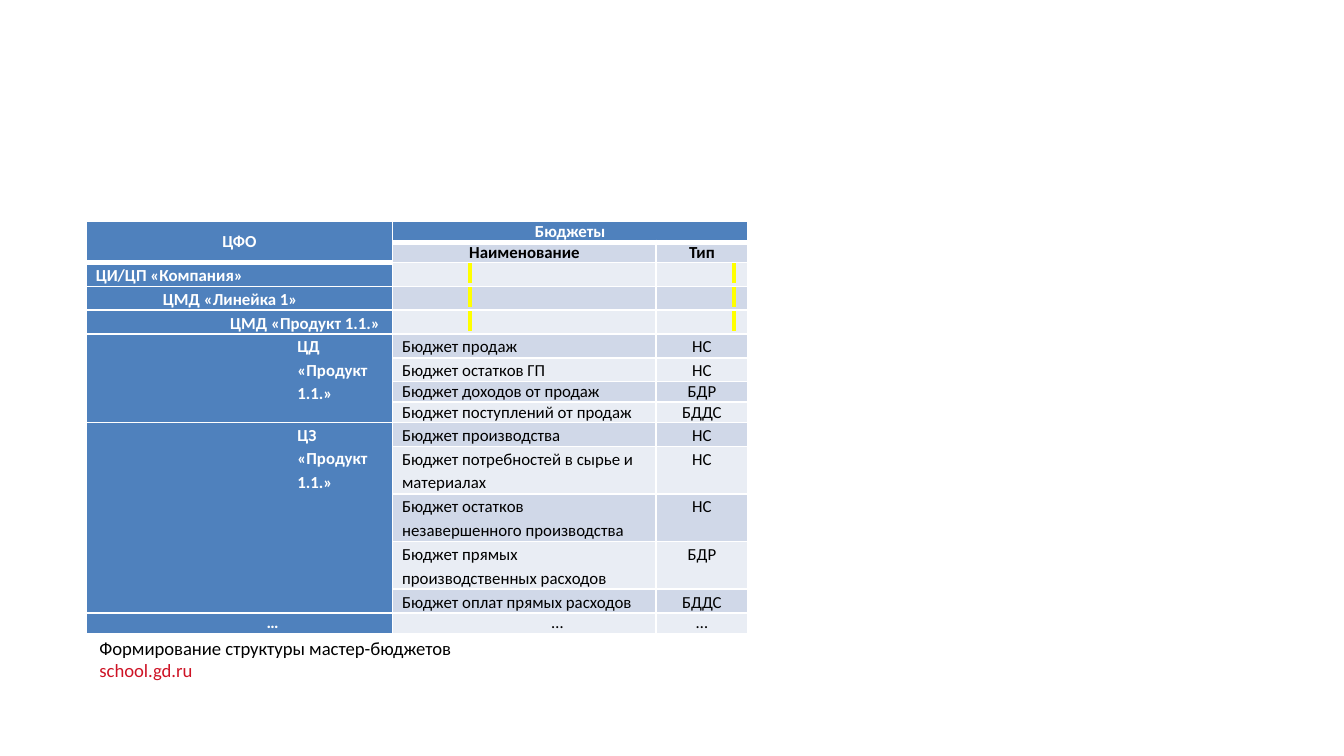
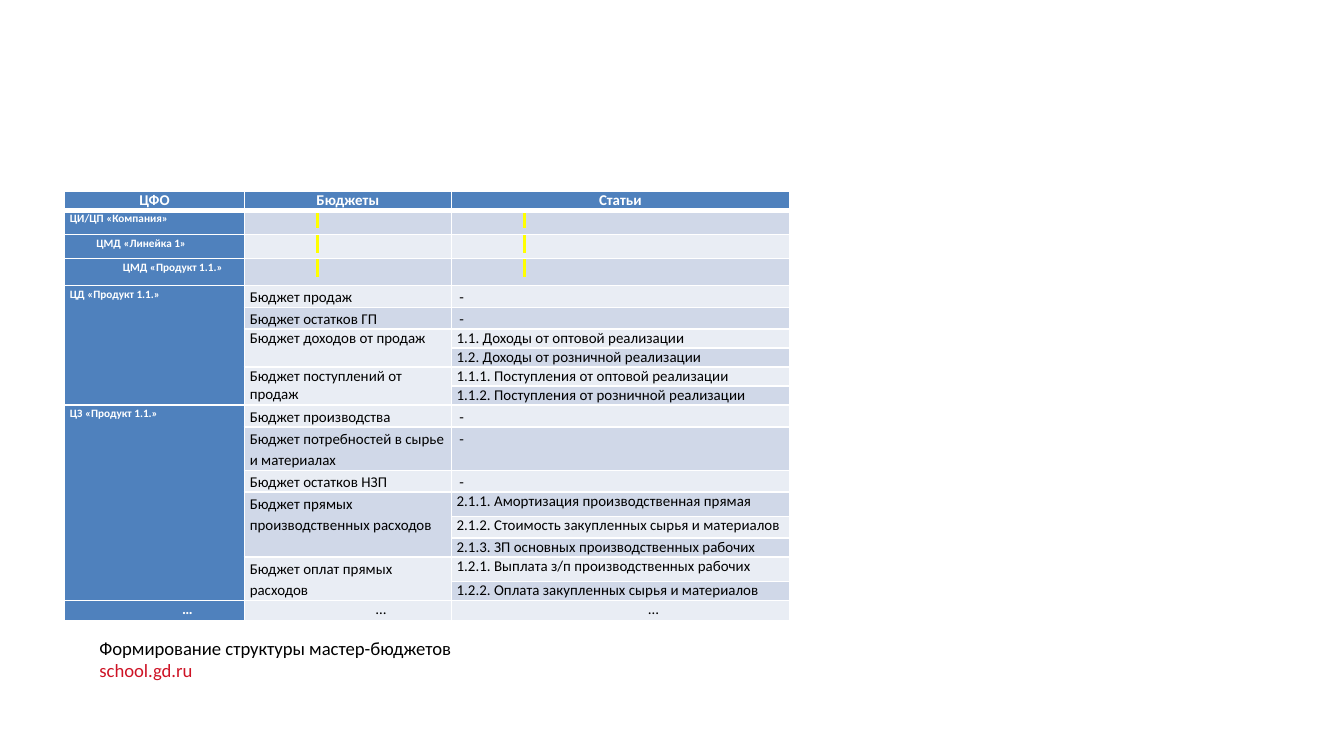
import pptx
import pptx.util
import pptx.dml.color
import pptx.enum.text
import pptx.oxml
import pptx.oxml.ns

Cm = pptx.util.Cm
Pt = pptx.util.Pt
Align = pptx.enum.text.PP_ALIGN
Anchor = pptx.enum.text.MSO_ANCHOR
qn = pptx.oxml.ns.qn

FONT = "Calibri"
WHITE, BLACK, RED = "FFFFFF", "000000", "CE1325"
BLUE, YELLOW = "4F81BD", "FFFF00"
BANDS = ("E9EDF4", "D0D8E8")
UP, LEFT = "up", "left"
SPACE = 1.15
STEP = 1.25


def paint(text):
    return pptx.dml.color.RGBColor.from_string(text)


def make(tag, parent, **attrs):
    node = pptx.oxml.parse_xml(
        f'<a:{tag} xmlns:a="http://schemas.openxmlformats.org/drawingml/2006/main"/>')
    for key, value in attrs.items():
        node.set(key, str(value))
    parent.append(node)
    return node


def put(par, text, size=10, color=BLACK, bold=False, align=None, space=None,
        level=0, left=0, first=0, mark=None):
    par.level = level
    par.alignment = align
    par.line_spacing = space
    props = par._p.get_or_add_pPr()
    props.set("marL", str(Cm(left)))
    props.set("indent", str(Cm(first)))
    run = par.add_run()
    run.text = text
    run.font.size = Pt(size)
    run.font.bold = bold
    run.font.color.rgb = paint(color)
    if mark:
        props = run._r.get_or_add_rPr()
        glow = make("highlight", props)
        make("srgbClr", glow, val=mark)
    run.font.name = FONT


def item(text, **form):
    return text, form


def loose(text, **form):
    return text, {"space": SPACE, **form}


def mid(text, **form):
    return text, {"align": Align.CENTER, **form}


def dots():
    return mid("…", first=STEP)


def gap():
    return item(" ", first=STEP, mark=YELLOW)


def edge(cell, top, thick):
    props = cell._tc.get_or_add_tcPr()
    for side in "LRTB":
        if side == "T" and not top:
            continue
        width = 3 if thick and side == "B" else 1
        line = make("ln" + side, props, w=Pt(width))
        make("srgbClr", make("solidFill", line), val=WHITE)


def join(table, rows):
    for y, (_, cells) in enumerate(rows):
        for x, part in enumerate(cells):
            if part in (UP, LEFT):
                continue
            deep = wide = 1
            while y + deep < len(rows) and rows[y + deep][1][x] == UP:
                deep += 1
            while x + wide < len(cells) and cells[x + wide] == LEFT:
                wide += 1
            if deep * wide > 1:
                table.cell(y, x).merge(table.cell(y + deep - 1, x + wide - 1))


def grid(slide, box, cols, rows, size, pad):
    left, top = box
    high = sum(row[0] for row in rows)
    frame = slide.shapes.add_table(len(rows), len(cols), Cm(left), Cm(top),
                                   Cm(sum(cols)), Cm(high))
    table = frame.table
    table.first_row = table.horz_banding = False
    for col, width in zip(table.columns, cols):
        col.width = Cm(width)
    for y, (tall, cells) in enumerate(rows):
        table.rows[y].height = Cm(tall)
        for x, part in enumerate(cells):
            cell = table.cell(y, x)
            text, form = ("", {}) if part in (UP, LEFT) else part
            dark = x == 0 or y == 0
            cell.margin_left = cell.margin_right = Cm(pad)
            cell.margin_top = cell.margin_bottom = 0
            edge(cell, y == 0, y == 0 or (y == 1 and part == UP))
            cell.fill.solid()
            cell.fill.fore_color.rgb = paint(BLUE if dark else BANDS[y % 2])
            look = {"size": size, "color": WHITE if dark else BLACK, "bold": dark}
            put(cell.text_frame.paragraphs[0], text, **{**look, **form})
    table.cell(0, 0).vertical_anchor = Anchor.MIDDLE
    join(table, rows)


def foot(slide, box):
    shape = slide.shapes.add_textbox(*map(Cm, box))
    frame = shape.text_frame
    frame.word_wrap = False
    frame.auto_size = pptx.enum.text.MSO_AUTO_SIZE.SHAPE_TO_FIT_TEXT
    put(frame.paragraphs[0], "Формирование структуры мастер-бюджетов")
    put(frame.add_paragraph(), "school.gd.ru", color=RED)


def types(slide):
    low, tall = 0.38, 0.45
    twice = 2 * tall

    def kind(text):
        return mid(text, space=SPACE)

    def unit(text, level):
        return loose(text, level=level, left=level * 1.27)

    def even(text):
        return item(text, align=Align.JUSTIFY)

    rows = [
        (low, [mid("ЦФО"), mid("Бюджеты"), LEFT]),
        (low, [UP, mid("Наименование", bold=True), mid("Тип", bold=True)]),
        (tall, [unit("ЦИ/ЦП «Компания»", 0), gap(), gap()]),
        (tall, [unit("ЦМД «Линейка 1»", 1), gap(), gap()]),
        (tall, [unit("ЦМД «Продукт 1.1.»", 2), gap(), gap()]),
        (tall, [unit("ЦД «Продукт 1.1.»", 3), loose("Бюджет продаж"), kind("НС")]),
        (tall, [UP, loose("Бюджет остатков ГП"), kind("НС")]),
        (low, [UP, even("Бюджет доходов от продаж"), mid("БДР")]),
        (low, [UP, even("Бюджет поступлений от продаж"), mid("БДДС")]),
        (tall, [unit("ЦЗ «Продукт 1.1.»", 3), loose("Бюджет производства"), kind("НС")]),
        (twice, [UP, loose("Бюджет потребностей в сырье и материалах"), kind("НС")]),
        (twice, [UP, loose("Бюджет остатков незавершенного производства"), kind("НС")]),
        (twice, [UP, loose("Бюджет прямых производственных расходов"), kind("БДР")]),
        (tall, [UP, loose("Бюджет оплат прямых расходов"), kind("БДДС")]),
        (low, [dots(), dots(), mid("…")]),
    ]
    grid(slide, (1.63, 4.19), (5.79, 4.98, 1.73), rows, 9, 0.18)


def lines(slide):
    low, tall, high = 0.36, 0.41, 0.46

    def unit(text, level, left=0):
        return loose(text, size=6, level=level, left=left)

    dash = loose("-", left=0.05)
    rows = [
        (low, [mid("ЦФО"), mid("Бюджеты"), mid("Статьи")]),
        (high, [unit("ЦИ/ЦП «Компания»", 0), gap(), gap()]),
        (high, [unit("ЦМД «Линейка 1»", 1, 0.5), gap(), gap()]),
        (0.51, [unit("ЦМД «Продукт 1.1.»", 2, 1), gap(), gap()]),
        (tall, [unit("ЦД «Продукт 1.1.»", 3), loose("Бюджет продаж"), dash]),
        (tall, [UP, loose("Бюджет остатков ГП"), dash]),
        (low, [UP, item("Бюджет доходов от продаж"),
               item("1.1. Доходы от оптовой реализации")]),
        (low, [UP, UP, item("1.2. Доходы от розничной реализации")]),
        (low, [UP, item("Бюджет поступлений от продаж"),
               item("1.1.1. Поступления от оптовой реализации")]),
        (low, [UP, UP, item("1.1.2. Поступления от розничной реализации")]),
        (tall, [unit("ЦЗ «Продукт 1.1.»", 3), loose("Бюджет производства"), dash]),
        (2 * tall, [UP, loose("Бюджет потребностей в сырье и материалах"), dash]),
        (tall, [UP, loose("Бюджет остатков НЗП"), dash]),
        (high, [UP, loose("Бюджет прямых производственных расходов"),
                item("2.1.1. Амортизация производственная прямая")]),
        (tall, [UP, UP, item("2.1.2. Стоимость закупленных сырья и материалов")]),
        (low, [UP, UP, item("2.1.3. ЗП основных производственных рабочих")]),
        (high, [UP, loose("Бюджет оплат прямых расходов"),
                item("1.2.1. Выплата з/п производственных рабочих")]),
        (low, [UP, UP, item("1.2.2. Оплата закупленных сырья и материалов")]),
        (0.38, [dots(), dots(), dots()]),
    ]
    grid(slide, (1.22, 3.61), (3.4, 3.91, 6.39), rows, 8, 0.1)


def main():
    deck = pptx.Presentation()
    deck.slide_width, deck.slide_height = Cm(25.4), Cm(14.29)
    for build in (types, lines):
        slide = deck.slides.add_slide(deck.slide_layouts[6])
        build(slide)
        foot(slide, (1.63, 11.91, 7.34, 1.12))
    deck.save("out.pptx")


if __name__ == "__main__":
    main()
